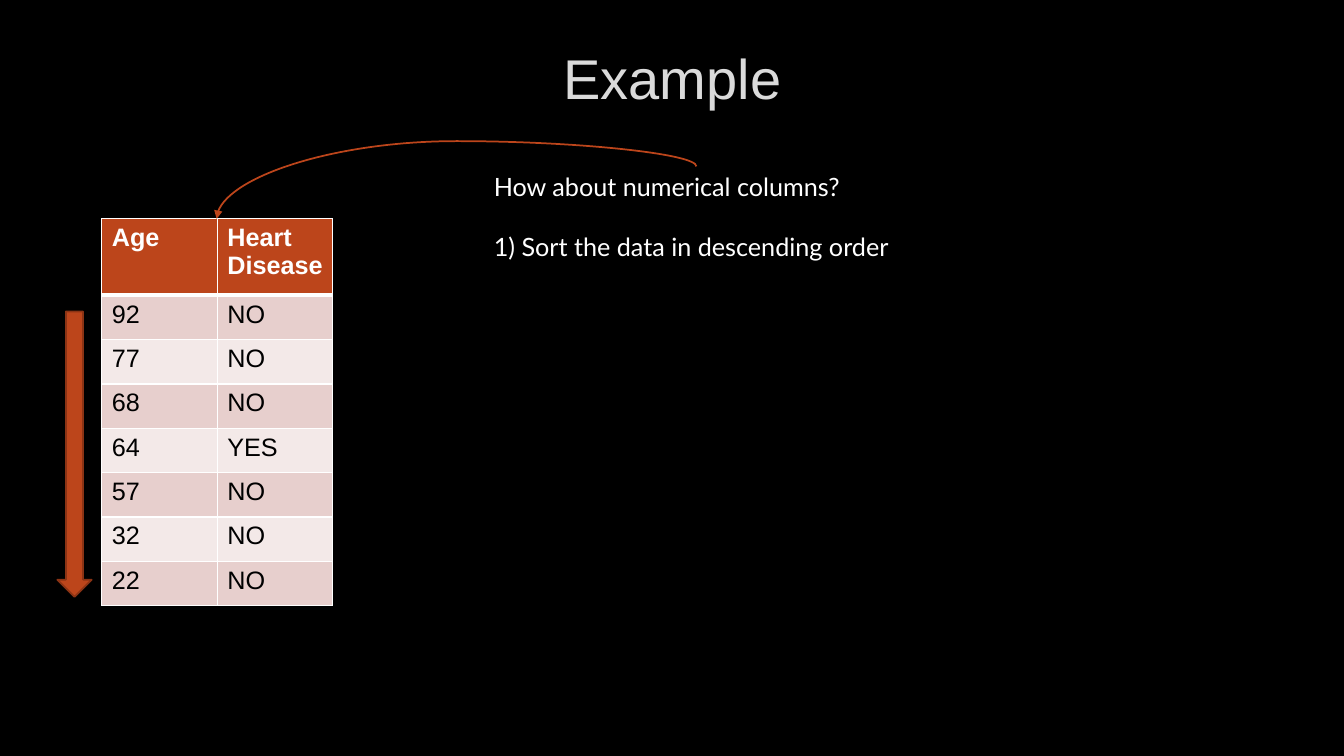
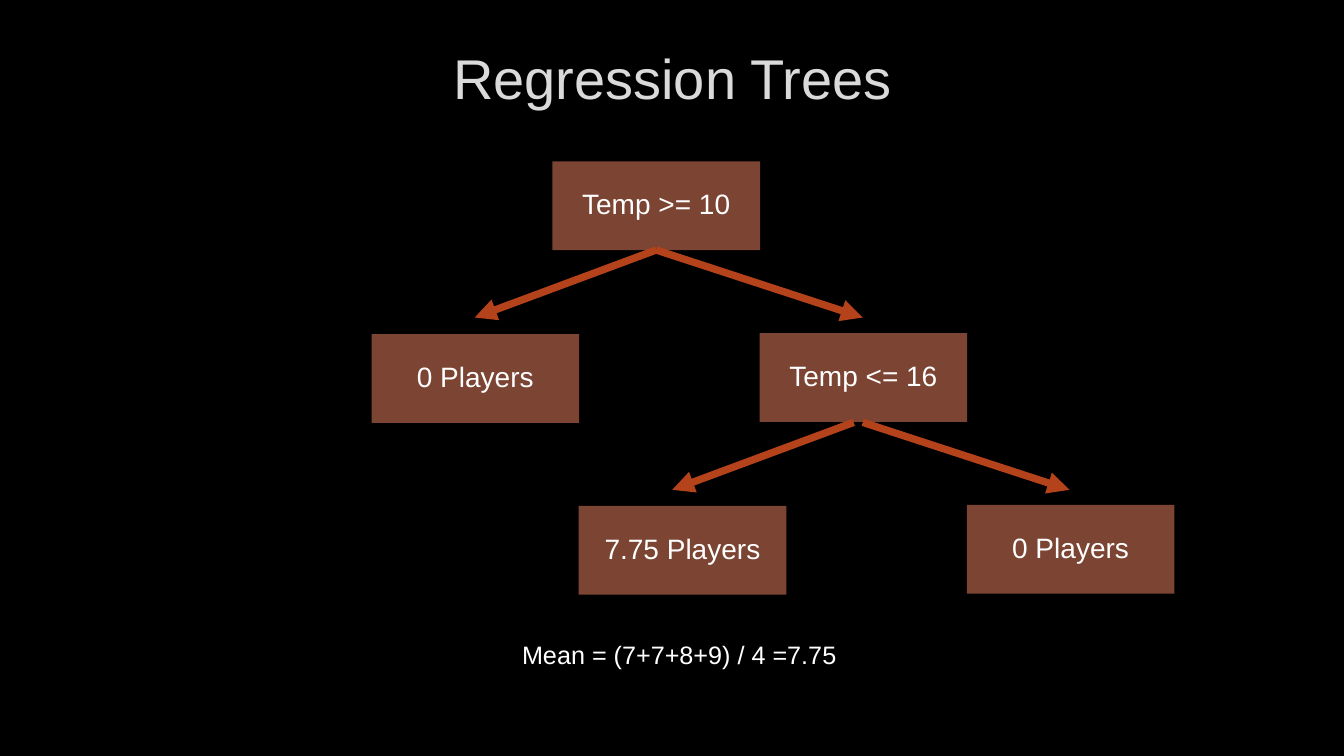
"""Build two slides on decision trees: a sorted table and a regression tree."""

from dataclasses import dataclass

from lxml import etree
from pptx import Presentation
from pptx.dml.color import RGBColor
from pptx.enum.shapes import MSO_CONNECTOR, MSO_SHAPE
from pptx.enum.text import MSO_ANCHOR, MSO_AUTO_SIZE, PP_ALIGN
from pptx.oxml.ns import qn
from pptx.shapes.connector import Connector
from pptx.slide import Slide
from pptx.table import _Cell
from pptx.text.text import TextFrame
from pptx.util import Pt

STRAIGHT, CURVE = MSO_CONNECTOR.STRAIGHT, MSO_CONNECTOR.CURVE
RECTANGLE, DOWN_ARROW = MSO_SHAPE.RECTANGLE, MSO_SHAPE.DOWN_ARROW
TOP, MIDDLE = MSO_ANCHOR.TOP, MSO_ANCHOR.MIDDLE
LEFT, CENTER = PP_ALIGN.LEFT, PP_ALIGN.CENTER
FIT_SHAPE = MSO_AUTO_SIZE.SHAPE_TO_FIT_TEXT

BLACK, WHITE, TITLE_GRAY = "000000", "FFFFFF", "DADADA"
ACCENT, ACCENT_DARK = "BC451B", "8B3314"
BRANCH_COLOR, NODE_COLOR = "B4421A", "7C4432"
BANDS = ("E7CFCD", "F3E9E8")

NODE_WIDTH, NODE_HEIGHT = 148.3, 63.4
LEFT_STEP, RIGHT_STEP = (-129.2, 123.4), (148, 122.7)
LEFT_BRANCH, RIGHT_BRANCH = (-129.6, 48.2), (147.6, 48.2)


@dataclass(frozen=True)
class Node:
    """A box of the tree, placed by its top left corner."""

    text: str
    left: float
    top: float

    def child(self, text: str, step: tuple[float, float]) -> "Node":
        """Return the node one step below this one."""
        return Node(text, self.left + step[0], self.top + step[1])


@dataclass(frozen=True)
class Branch:
    """An arrow of the tree, given by its start and its reach."""

    left: float
    top: float
    reach: tuple[float, float]


def color(value: str) -> RGBColor:
    """Turn a hex string into a colour."""
    return RGBColor.from_string(value)


def write_text(frame: TextFrame, *lines: str, size: float = 18, font: str = "Arial",
               fill: str = WHITE, bold: bool = False, align: PP_ALIGN = LEFT,
               anchor: MSO_ANCHOR = TOP, gap: float = 0, spacing: float = 1) -> None:
    """Write one paragraph per line in a single format."""
    frame.vertical_anchor = anchor
    for index, line in enumerate(lines):
        para = frame.add_paragraph() if index else frame.paragraphs[0]
        para.alignment = align
        para.line_spacing = spacing
        para.space_before = Pt(gap if index else 0)
        span = para.add_run()
        span.text = line
        span.font.size = Pt(size)
        span.font.name = font
        span.font.bold = bold
        span.font.color.rgb = color(fill)


def add_page(deck: Presentation, title: str) -> Slide:
    """Add a blank page with the shared title style."""
    page = deck.slides.add_slide(deck.slide_layouts[6])
    box = page.shapes.add_textbox(Pt(72.7), Pt(16.6), Pt(815), Pt(76.3))
    box.text_frame.word_wrap = True
    write_text(box.text_frame, title, size=40, fill=TITLE_GRAY, align=CENTER, anchor=MIDDLE)
    return page


def add_note(page: Slide, left: float, top: float, width: float, height: float,
             *lines: str, font: str = "Arial", gap: float = 0) -> None:
    """Add a text box that does not wrap."""
    box = page.shapes.add_textbox(Pt(left), Pt(top), Pt(width), Pt(height))
    box.text_frame.word_wrap = False
    box.text_frame.auto_size = FIT_SHAPE
    write_text(box.text_frame, *lines, font=font, gap=gap)


def add_arrow(page: Slide, kind: MSO_CONNECTOR, start: tuple[float, float],
              end: tuple[float, float], line: str, weight: float) -> Connector:
    """Add a connector with a triangle at its end."""
    arrow = page.shapes.add_connector(kind, *(Pt(value) for value in start + end))
    arrow.line.color.rgb = color(line)
    arrow.line.width = Pt(weight)
    properties = arrow.element.spPr
    etree.SubElement(properties.find(qn("a:ln")), qn("a:tailEnd"), type="triangle")
    etree.SubElement(properties, qn("a:effectLst"))
    return arrow


def bend(arrow: Connector, degrees: int, adjustment: int) -> None:
    """Rotate a curved connector and move its middle."""
    properties = arrow.element.spPr
    properties.find(qn("a:xfrm")).set("rot", str(degrees * 60000))
    guides = properties.find(qn("a:prstGeom")).find(qn("a:avLst"))
    etree.SubElement(guides, qn("a:gd"), name="adj1", fmla=f"val {adjustment}")


def style_cell(cell: _Cell, fill: str, top: float, bottom: float) -> None:
    """Give a cell white borders and a fill."""
    properties = cell._tc.get_or_add_tcPr()
    for side, weight in (("L", 1), ("R", 1), ("T", top), ("B", bottom)):
        border = etree.SubElement(properties, qn(f"a:ln{side}"), w=str(Pt(weight)))
        paint = etree.SubElement(border, qn("a:solidFill"))
        etree.SubElement(paint, qn("a:srgbClr"), val=WHITE)
    cell.fill.solid()
    cell.fill.fore_color.rgb = color(fill)


def add_patient_table(page: Slide, rows: list[tuple[str, str]]) -> None:
    """Add the table of ages, with a header and banded rows."""
    frame = page.shapes.add_table(len(rows), 2, Pt(72.7), Pt(156.2), Pt(165), Pt(277))
    table = frame.table
    for column in table.columns:
        column.width = Pt(82.5)
    for index, values in enumerate(rows):
        header = index == 0
        table.rows[index].height = Pt(54.7 if header else 31.7)
        fill = ACCENT if header else BANDS[(index - 1) % 2]
        for cell, text in zip(table.rows[index].cells, values):
            style_cell(cell, fill, top=3 if index == 1 else 1, bottom=3 if header else 1)
            write_text(cell.text_frame, text, bold=header, fill=WHITE if header else BLACK)


def add_node(page: Slide, node: Node) -> None:
    """Draw a box of the tree."""
    box = page.shapes.add_shape(RECTANGLE, Pt(node.left), Pt(node.top),
                                Pt(NODE_WIDTH), Pt(NODE_HEIGHT))
    box.shadow.inherit = False
    box.fill.solid()
    box.fill.fore_color.rgb = color(NODE_COLOR)
    box.line.fill.background()
    frame = box.text_frame
    frame.word_wrap = True
    frame.margin_left = frame.margin_right = frame.margin_top = frame.margin_bottom = Pt(3)
    write_text(frame, node.text, size=20, align=CENTER, anchor=MIDDLE, spacing=0.9)


def add_branch(page: Slide, branch: Branch) -> None:
    """Draw an arrow of the tree."""
    end = (branch.left + branch.reach[0], branch.top + branch.reach[1])
    add_arrow(page, STRAIGHT, (branch.left, branch.top), end, BRANCH_COLOR, 5.25)


def build_example(deck: Presentation) -> None:
    """Build the page on sorting a numerical column."""
    page = add_page(deck, "Example")
    add_patient_table(page, [
        ("Age", "Heart Disease"), ("92", "NO"), ("77", "NO"), ("68", "NO"),
        ("64", "YES"), ("57", "NO"), ("32", "NO"), ("22", "NO"),
    ])
    add_note(page, 345.6, 118.8, 303.8, 72.7, "How about numerical columns?",
             "1) Sort the data in descending order", font="Lato", gap=21.4)
    pointer = add_arrow(page, CURVE, (344.9, 308.9), (307.4, -33.8), ACCENT, 1.25)
    bend(pointer, 270, -48100)
    sort_arrow = page.shapes.add_shape(DOWN_ARROW, Pt(41), Pt(222.5), Pt(24.5), Pt(203.8))
    sort_arrow.shadow.inherit = False
    sort_arrow.fill.solid()
    sort_arrow.fill.fore_color.rgb = color(ACCENT)
    sort_arrow.line.color.rgb = color(ACCENT_DARK)
    sort_arrow.line.width = Pt(1.25)


def build_regression_tree(deck: Presentation) -> None:
    """Build the page with the regression tree."""
    page = add_page(deck, "Regression Trees")
    root = Node("Temp >= 10", 394.6, 115.2)
    split = root.child("Temp <= 16", RIGHT_STEP)
    nodes = (root, root.child("0 Players", LEFT_STEP), split,
             split.child("7.75 Players", LEFT_STEP), split.child("0 Players", RIGHT_STEP))
    branches = (Branch(468.7, 178.6, LEFT_BRANCH), Branch(468.7, 178.6, RIGHT_BRANCH),
                Branch(609.8, 301.7, LEFT_BRANCH), Branch(616.3, 301.7, RIGHT_BRANCH))
    for node in nodes:
        add_node(page, node)
    for branch in branches:
        add_branch(page, branch)
    add_note(page, 365.8, 452.9, 243.4, 28.8, "Mean = (7+7+8+9) / 4 =7.75")


def main() -> None:
    """Build and save the deck."""
    deck = Presentation()
    deck.slide_width, deck.slide_height = Pt(960), Pt(540)
    backdrop = deck.slide_master.background.fill
    backdrop.solid()
    backdrop.fore_color.rgb = color(BLACK)
    build_example(deck)
    build_regression_tree(deck)
    deck.save("out.pptx")


main()
